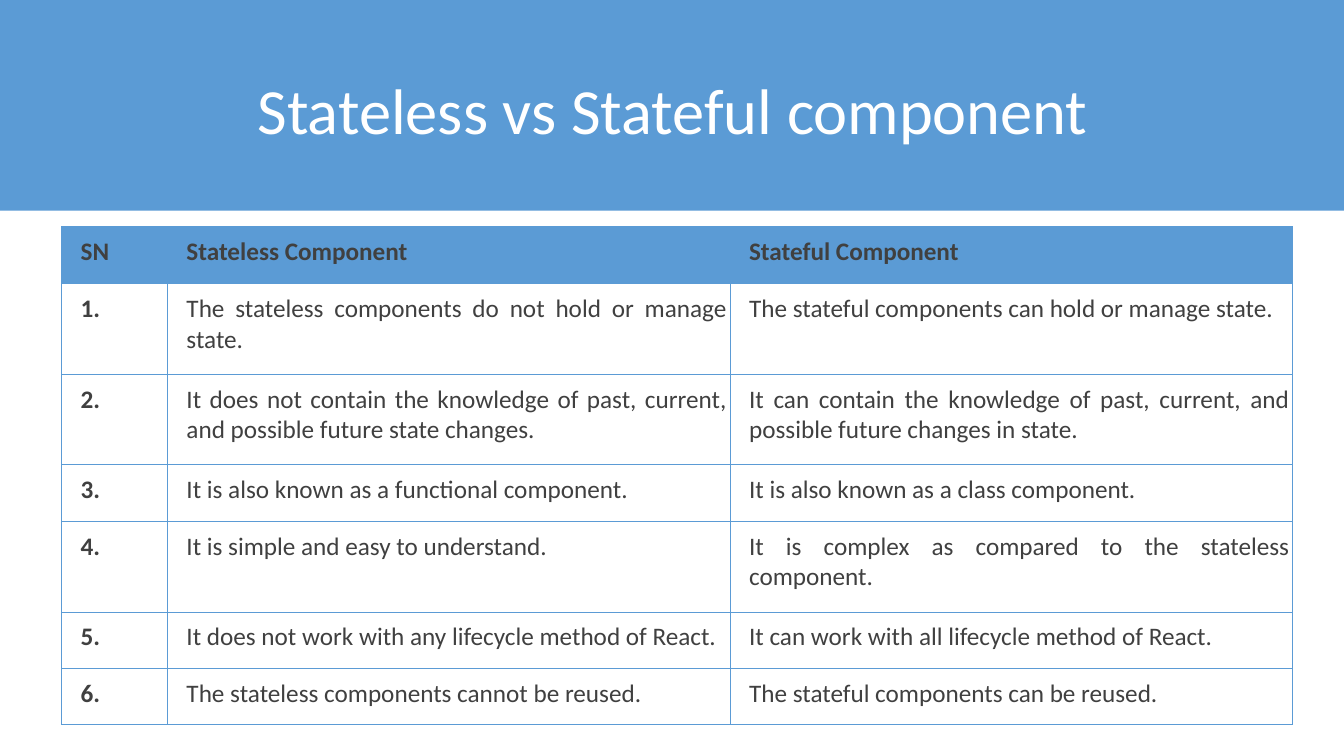
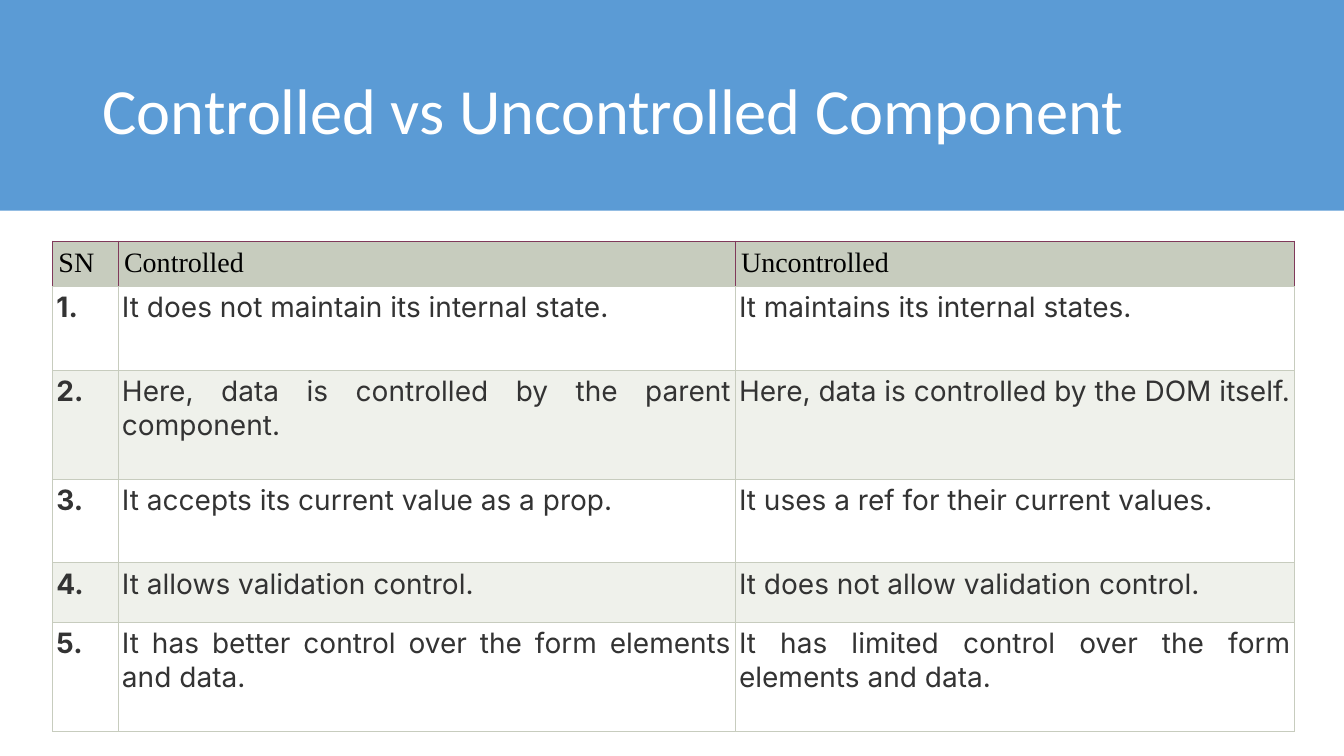
"""Build two slides that compare kinds of React components in tables."""
from dataclasses import dataclass

from lxml import etree
from pptx import Presentation
from pptx import util as u
from pptx.dml.color import RGBColor
from pptx.enum import shapes, text
from pptx.oxml import ns


@dataclass(frozen=True)
class Theme:
    """Colours, fonts and sizes shared by the slides."""
    blue: str = "5B9BD5"
    white: str = "FFFFFF"
    grey: str = "404040"
    dark: str = "333333"
    black: str = "000000"
    sage: str = "C7CCBE"
    pale: str = "EFF1EB"
    plum: str = "80395A"
    font: str = "Calibri"
    title_size: int = 46
    border_width: float = 0.5


THEME = Theme()


@dataclass(frozen=True)
class RowStyle:
    """Look of one kind of table row."""
    font: str
    size: int
    color: str
    fills: tuple
    borders: dict
    margins: tuple
    align: text.PP_ALIGN
    bold_columns: tuple = ()


def all_borders(color, **sides):
    """Return one border colour for every side, apart from the given ones."""
    return dict.fromkeys(("L", "R", "T", "B"), color) | sides


BLUE_HEADER = RowStyle(THEME.font, 18, THEME.grey, (THEME.blue,), all_borders(THEME.blue),
                       (0.19, 0.1, 0.04, 0.1), text.PP_ALIGN.LEFT, (0, 1, 2))
BLUE_BODY = RowStyle(THEME.font, 18, THEME.grey, (None,), all_borders(THEME.blue),
                     (0.19, 0.1, 0.03, 0.1), text.PP_ALIGN.JUSTIFY, (0,))
SAGE_HEADER = RowStyle("Times New Roman", 20, THEME.black, (THEME.sage,),
                       all_borders(THEME.plum, B=THEME.sage),
                       (0.06,) * 4, text.PP_ALIGN.LEFT)
SAGE_BODY = RowStyle("Inter", 20, THEME.dark, (THEME.white, THEME.pale),
                     all_borders(THEME.sage), (0.04,) * 4, text.PP_ALIGN.JUSTIFY, (0,))

STATE_ROWS = [
    ("SN", "Stateless Component", "Stateful Component"),
    ("1.", "The stateless components do not hold or manage state.",
     "The stateful components can hold or manage state."),
    ("2.", "It does not contain the knowledge of past, current, and possible future state changes.",
     "It can contain the knowledge of past, current, and possible future changes in state."),
    ("3.", "It is also known as a functional component.",
     "It is also known as a class component."),
    ("4.", "It is simple and easy to understand.",
     "It is complex as compared to the stateless component."),
    ("5.", "It does not work with any lifecycle method of React.",
     "It can work with all lifecycle method of React."),
    ("6.", "The stateless components cannot be reused.",
     "The stateful components can be reused."),
]

CONTROL_ROWS = [
    ("SN", "Controlled", "Uncontrolled"),
    ("1.", "It does not maintain its internal state.", "It maintains its internal states."),
    ("2.", "Here, data is controlled by the parent component.",
     "Here, data is controlled by the DOM itself."),
    ("3.", "It accepts its current value as a prop.", "It uses a ref for their current values."),
    ("4.", "It allows validation control.", "It does not allow validation control."),
    ("5.", "It has better control over the form elements and data.",
     "It has limited control over the form elements and data."),
]


def add_run(paragraph, words, font, size, color, bold=False):
    """Add one styled run to a paragraph."""
    run = paragraph.add_run()
    run.text = words
    run.font.name = font
    run.font.size = u.Pt(size)
    run.font.bold = bold
    run.font.color.rgb = RGBColor.from_string(color)


def add_title_band(slide, title, align):
    """Add the blue band with the slide title."""
    band = slide.shapes.add_shape(shapes.MSO_SHAPE.RECTANGLE, 0, 0,
                                  u.Inches(13.33), u.Inches(2.09))
    band.shadow.inherit = False
    band.fill.solid()
    band.fill.fore_color.rgb = RGBColor.from_string(THEME.blue)
    band.line.fill.background()
    box = slide.shapes.add_textbox(u.Inches(0.92), u.Inches(0.4), u.Inches(11.5), u.Inches(1.45))
    frame = box.text_frame
    frame.word_wrap = True
    frame.vertical_anchor = text.MSO_ANCHOR.MIDDLE
    paragraph = frame.paragraphs[0]
    paragraph.alignment = align
    paragraph.line_spacing = 0.9
    add_run(paragraph, title, THEME.font, THEME.title_size, THEME.white)


def set_borders(cell, borders):
    """Draw the sides of a cell in the given colours."""
    properties = cell._tc.get_or_add_tcPr()
    for side, color in borders.items():
        line = etree.SubElement(properties, ns.qn(f"a:ln{side}"), w=str(u.Pt(THEME.border_width)))
        fill = etree.SubElement(line, ns.qn("a:solidFill"))
        etree.SubElement(fill, ns.qn("a:srgbClr"), val=color)


def fill_cell(cell, words, style, fill, bold):
    """Style a cell and write its text."""
    set_borders(cell, style.borders)
    if fill:
        cell.fill.solid()
        cell.fill.fore_color.rgb = RGBColor.from_string(fill)
    else:
        cell.fill.background()
    (cell.margin_left, cell.margin_top,
     cell.margin_right, cell.margin_bottom) = map(u.Inches, style.margins)
    paragraph = cell.text_frame.paragraphs[0]
    paragraph.alignment = style.align
    add_run(paragraph, words, style.font, style.size, style.color, bold)


def add_comparison(slide, rows, left, top, widths, heights, header, body):
    """Add a comparison table with one header row."""
    frame = slide.shapes.add_table(len(rows), len(widths), u.Inches(left), u.Inches(top),
                                   u.Inches(sum(widths)), u.Inches(sum(heights)))
    table = frame.table
    table.first_row = table.horz_banding = False
    for column, width in zip(table.columns, widths):
        column.width = u.Inches(width)
    for number, (row, height, entries) in enumerate(zip(table.rows, heights, rows)):
        row.height = u.Inches(height)
        style = body if number else header
        fill = style.fills[(number - 1) % len(style.fills)]
        for column, (cell, words) in enumerate(zip(row.cells, entries)):
            fill_cell(cell, words, style, fill, column in style.bold_columns)


def main():
    """Build and save the presentation."""
    presentation = Presentation()
    presentation.slide_width = u.Inches(13.33)
    presentation.slide_height = u.Inches(7.5)
    blank = presentation.slide_layouts[6]

    slide = presentation.slides.add_slide(blank)
    add_title_band(slide, "Stateless vs Stateful component", text.PP_ALIGN.CENTER)
    add_comparison(slide, STATE_ROWS, 0.61, 2.25, (1.05, 5.58, 5.58),
                   (0.56, 0.9, 0.9, 0.56, 0.9, 0.56, 0.56), BLUE_HEADER, BLUE_BODY)

    slide = presentation.slides.add_slide(blank)
    add_title_band(slide, "Controlled vs Uncontrolled Component", text.PP_ALIGN.LEFT)
    add_comparison(slide, CONTROL_ROWS, 0.52, 2.39, (0.65, 6.12, 5.55),
                   (0.43, 0.83, 1.08, 0.83, 0.59, 1.08), SAGE_HEADER, SAGE_BODY)

    presentation.save("out.pptx")


if __name__ == "__main__":
    main()
